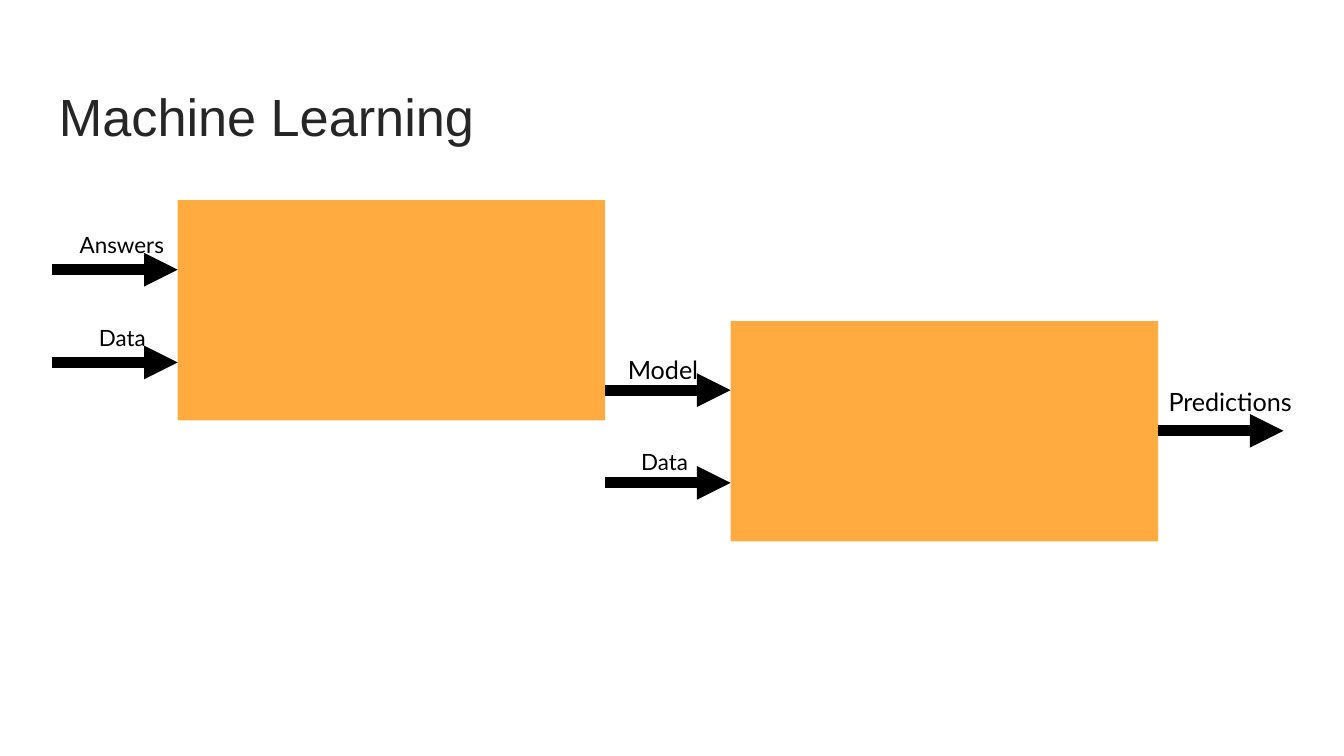
from lxml import etree
from pptx import Presentation
from pptx.dml.color import RGBColor
from pptx.enum.shapes import MSO_CONNECTOR, MSO_SHAPE
from pptx.enum.text import MSO_ANCHOR, MSO_AUTO_SIZE, PP_ALIGN
from pptx.oxml.ns import qn
from pptx.util import Pt

STRAIGHT = MSO_CONNECTOR.STRAIGHT
RECTANGLE = MSO_SHAPE.RECTANGLE
TOP = MSO_ANCHOR.TOP
GROW = MSO_AUTO_SIZE.SHAPE_TO_FIT_TEXT
LEFT, CENTER = PP_ALIGN.LEFT, PP_ALIGN.CENTER

BLACK = RGBColor(0x00, 0x00, 0x00)
DARK_GRAY = RGBColor(0x26, 0x26, 0x26)
ORANGE = RGBColor(0xFF, 0xAB, 0x40)

BOX_WIDTH, BOX_HEIGHT = 229, 118
ARROW_LENGTH = 67.2
TRAINING_LEFT, TRAINING_TOP = 95.2, 107.2
PREDICTION_LEFT = TRAINING_LEFT + BOX_WIDTH + ARROW_LENGTH
PREDICTION_TOP = 172


class DiagramSlide:
    def __init__(self, presentation):
        self.slide = presentation.slides.add_slide(presentation.slide_layouts[6])
        self.shapes = self.slide.shapes

    def text(self, text, left, top, width, height, *, size=12, font="Lato",
             color=BLACK, align=CENTER, side_inset=0, top_inset=0, grow=True):
        shape = self.shapes.add_textbox(Pt(left), Pt(top), Pt(width), Pt(height))
        frame = shape.text_frame
        frame.word_wrap = True
        frame.vertical_anchor = TOP
        frame.margin_left = frame.margin_right = Pt(side_inset)
        frame.margin_top, frame.margin_bottom = Pt(top_inset), Pt(0)
        if grow:
            frame.auto_size = GROW
        paragraph = frame.paragraphs[0]
        paragraph.alignment = align
        run = paragraph.add_run()
        run.text = text
        run.font.size = Pt(size)
        run.font.name = font
        run.font.color.rgb = color

    def box(self, left, top):
        shape = self.shapes.add_shape(
            RECTANGLE, Pt(left), Pt(top), Pt(BOX_WIDTH), Pt(BOX_HEIGHT))
        shape.shadow.inherit = False
        shape.fill.solid()
        shape.fill.fore_color.rgb = ORANGE
        shape.line.fill.background()

    def arrow(self, left, y):
        connector = self.shapes.add_connector(
            STRAIGHT, Pt(left), Pt(y), Pt(left + ARROW_LENGTH), Pt(y))
        connector.line.color.rgb = BLACK
        connector.line.width = Pt(6)
        line = connector.line._get_or_add_ln()
        etree.SubElement(line, qn("a:tailEnd"), type="triangle")
        etree.SubElement(connector._element.spPr, qn("a:effectLst"))


def main():
    presentation = Presentation()
    presentation.slide_width, presentation.slide_height = Pt(720), Pt(405)
    diagram = DiagramSlide(presentation)

    diagram.text("Machine Learning", 24.5, 35.3, 671, 45.4, size=28, font="Arial",
                 color=DARK_GRAY, align=LEFT, side_inset=7.2, top_inset=10,
                 grow=False)

    diagram.box(TRAINING_LEFT, TRAINING_TOP)
    diagram.box(PREDICTION_LEFT, PREDICTION_TOP)

    training_input = TRAINING_LEFT - ARROW_LENGTH
    prediction_input = PREDICTION_LEFT - ARROW_LENGTH
    prediction_output = PREDICTION_LEFT + BOX_WIDTH
    small = {"height": 14.4}
    large = {"height": 16.6, "size": 13.5, "align": LEFT}
    # label, arrow left, arrow y, label left, label top, label width, format
    flows = [
        ("Answers", training_input, 144.5, 34.3, 124, 62, small),
        ("Data", training_input, 194.2, 51, 173.5, 29, small),
        ("Model", prediction_input, 209, 336.4, 190, 44, large),
        ("Data", prediction_input, 258.7, 341.5, 240, 29, small),
        ("Predictions", prediction_output, 230.8, 626, 207, 78.5, large),
    ]
    for label, arrow_left, arrow_y, left, top, width, label_format in flows:
        diagram.arrow(arrow_left, arrow_y)
        diagram.text(label, left, top, width, **label_format)

    presentation.save("out.pptx")


if __name__ == "__main__":
    main()
